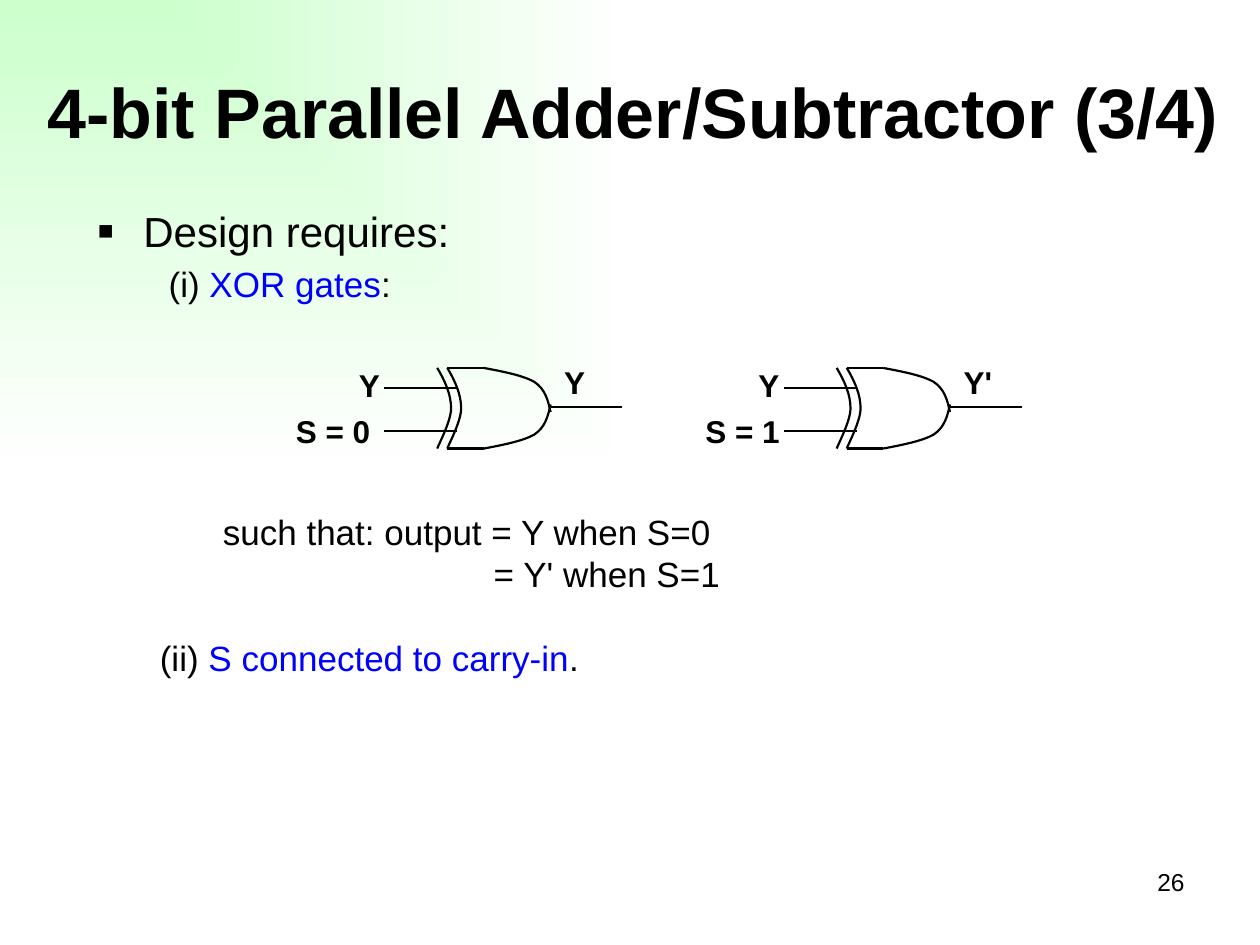
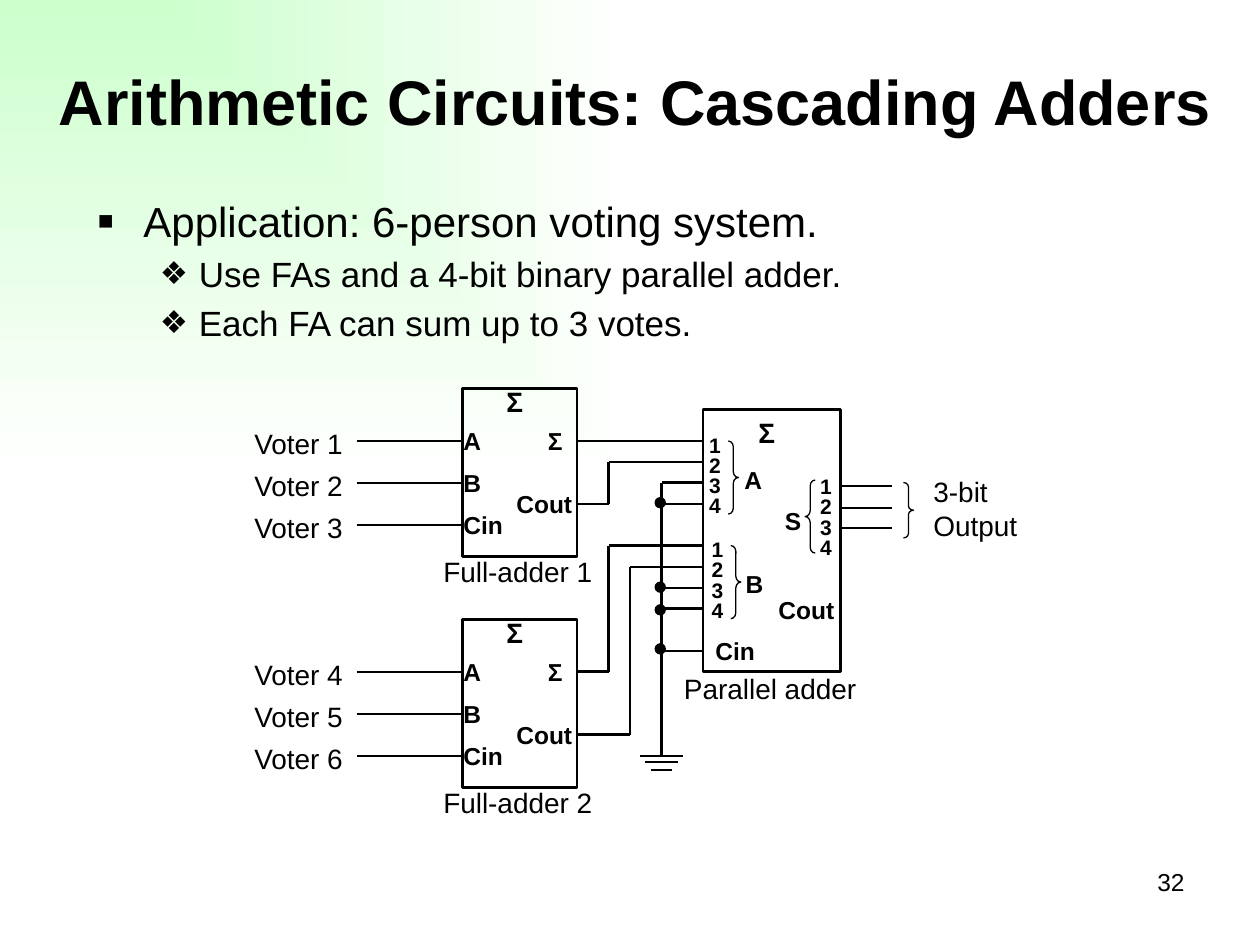
from dataclasses import dataclass
from typing import Any, NamedTuple

from lxml.etree import SubElement
from pptx import Presentation
from pptx.dml.color import RGBColor
from pptx.enum.shapes import MSO_CONNECTOR as Connector, MSO_SHAPE as Preset
from pptx.enum.text import MSO_ANCHOR as Anchor, MSO_AUTO_SIZE as AutoSize, PP_ALIGN as Align
from pptx.oxml.ns import qn
from pptx.util import Inches, Pt

BLACK, BLUE, MINT, WHITE = "000000", "0000FF", "CCFFCC", "FFFFFF"
FONT = "Arial"
WIRE, OUTLINE, THIN = 1.25, 1.5, 0.75
Point = tuple[float, float]


class Span(NamedTuple):
    text: str
    colour: str = BLACK


@dataclass
class Para:
    spans: list[Span]
    size: float
    margin: float = 0
    indent: float = 0
    before: float = 0
    bullet: str = ""
    bullet_size: int = 100
    bold: bool = False
    spacing: float = 1.0
    align: Any = Align.LEFT


@dataclass
class Gate:
    """An XOR gate; left is the top left corner of its body."""
    left: float
    select: str
    select_left: float
    select_width: float
    output: str
    output_width: float


@dataclass
class FullAdder:
    top: float
    number: int

    @property
    def voters(self) -> range:
        return range(3 * self.number - 2, 3 * self.number + 1)


class Bus(NamedTuple):
    """A bracketed set of four pins on the parallel adder."""
    name: str
    name_at: Point
    pins_at: Point
    brace_at: Point
    brace: Any


def rgb(colour: str) -> RGBColor:
    return RGBColor.from_string(colour)


def apply_format(target: Any, values: dict[str, Any]) -> None:
    for name, value in values.items():
        setattr(target, name, value)


# Text
def write(frame: Any, paras: list[Para]) -> None:
    for index, item in enumerate(paras):
        para = frame.paragraphs[0] if index == 0 else frame.add_paragraph()
        apply_format(para, {"alignment": item.align, "line_spacing": item.spacing,
                            "space_before": Pt(item.before)})
        props = para._p.get_or_add_pPr()
        props.set("marL", str(Inches(item.margin)))
        props.set("indent", str(Inches(item.indent)))
        if item.bullet:
            SubElement(props, qn("a:buSzPct")).set("val", str(item.bullet_size * 1000))
            SubElement(props, qn("a:buFont")).set("typeface", FONT)
            SubElement(props, qn("a:buChar")).set("char", item.bullet)
        for text, colour in item.spans:
            span = para.add_run()
            span.text = text
            apply_format(span.font, {"name": FONT, "size": Pt(item.size), "bold": item.bold})
            span.font.color.rgb = rgb(colour)


def add_text(shapes: Any, left: float, top: float, width: float, height: float,
             paras: list[Para]) -> None:
    box = shapes.add_textbox(Inches(left), Inches(top), Inches(width), Inches(height))
    box.text_frame.word_wrap = True
    write(box.text_frame, paras)


def add_label(shapes: Any, text: str, left: float, top: float, width: float,
              size: float = 14, bold: bool = True) -> None:
    add_text(shapes, left, top, width, size / 60 + 0.1, [Para([Span(text)], size, bold=bold)])


# Lines and shapes
def set_line(shape: Any, weight: float) -> None:
    shape.line.color.rgb = rgb(BLACK)
    shape.line.width = Pt(weight)


def add_wire(shapes: Any, *points: Point) -> None:
    for start, end in zip(points, points[1:]):
        wire = shapes.add_connector(Connector.STRAIGHT, *map(Inches, start + end))
        set_line(wire, WIRE)
        SubElement(wire._element.spPr, qn("a:effectLst"))


def add_preset(shapes: Any, preset: Any, left: float, top: float, width: float, height: float,
               weight: float, fill: str = "") -> Any:
    shape = shapes.add_shape(preset, Inches(left), Inches(top), Inches(width), Inches(height))
    shape.shadow.inherit = False
    if fill:
        shape.fill.solid()
        shape.fill.fore_color.rgb = rgb(fill)
    else:
        shape.fill.background()
    set_line(shape, weight)
    return shape


def add_brace(shapes: Any, preset: Any, left: float, top: float, height: float,
              curl: float) -> None:
    brace = add_preset(shapes, preset, left, top, 0.08, height, THIN)
    brace.adjustments[0] = curl


def add_curve(shapes: Any, left: float, top: float, controls: list[Point]) -> None:
    points = [(Inches(left + x), Inches(top + y)) for x, y in controls]
    builder = shapes.build_freeform(*points[0], scale=1.0)
    builder.add_line_segments(points[1:], close=False)
    curve = builder.convert_to_shape()
    curve.shadow.inherit = False
    curve.fill.background()
    set_line(curve, WIRE)
    # Every three straight segments become one cubic curve
    segments = list(curve._element.iter(qn("a:lnTo")))
    outline = segments[0].getparent()
    for first in range(0, len(segments), 3):
        cubic = SubElement(outline, qn("a:cubicBezTo"))
        for segment in segments[first:first + 3]:
            cubic.append(segment[0])
            outline.remove(segment)


# Shared page parts
def set_background(master: Any) -> None:
    fill = master.background.fill
    fill.gradient()
    for stop, position, colour in zip(fill.gradient_stops, (0, 1), (MINT, WHITE)):
        stop.position = position
        stop.color.rgb = rgb(colour)
    gradient = next(master.element.iter(qn("a:gradFill")))
    gradient.remove(gradient.find(qn("a:lin")))
    path = SubElement(gradient, qn("a:path"))
    path.set("path", "rect")
    focus = SubElement(path, qn("a:fillToRect"))
    for side, share in {"l": 0, "t": 0, "r": 100000, "b": 100000}.items():
        focus.set(side, str(share))


def add_page(deck: Any, title: str, size: float, left: float, top: float, width: float,
             number: int) -> Any:
    page = deck.slides.add_slide(deck.slide_layouts[5])
    apply_format(page.shapes.title, {"left": Inches(left), "top": Inches(top),
                                     "width": Inches(width), "height": Inches(1.25)})
    frame = page.shapes.title.text_frame
    apply_format(frame, {"word_wrap": True, "auto_size": AutoSize.NONE,
                         "vertical_anchor": Anchor.MIDDLE})
    write(frame, [Para([Span(title)], size, bold=True, align=Align.CENTER)])
    add_text(page.shapes, 7.17, 6.83, 2.33, 0.52,
             [Para([Span(str(number))], 14, align=Align.RIGHT)])
    return page


def heading(text: str) -> Para:
    return Para([Span(text)], 24, 0.37, -0.37, bullet="▪", bullet_size=120)


def point(text: str) -> Para:
    return Para([Span(text)], 20, 0.81, -0.31, before=4, bullet="❖", bullet_size=90)


# XOR gates
GATE_TOP, GATE_HEIGHT = 2.92, 0.64
BACK = [(0, 0), (0.06, 0.1), (0.11, 0.21), (0.11, 0.32),
        (0.11, 0.42), (0.02, 0.59), (0, GATE_HEIGHT)]
NOSE = [(0.29, 0), (0.45, 0.03), (0.6, 0.06), (0.69, 0.11),
        (0.78, 0.17), (0.8, 0.26), (0.82, 0.35)]


def draw_gate(page: Any, gate: Gate) -> None:
    shapes = page.shapes.add_group_shape().shapes
    left, top = gate.left, GATE_TOP
    for offset in (0, -0.08):
        add_curve(shapes, left + offset, top, BACK)
    add_curve(shapes, left, top, NOSE)
    add_curve(shapes, left, top, [(x, GATE_HEIGHT - y) for x, y in NOSE])
    for y in (top, top + GATE_HEIGHT):
        add_wire(shapes, (left, y), (left + 0.29, y))
    for y in (3.08, 3.42):
        add_wire(shapes, (left - 0.5, y), (left + 0.08, y))
    add_wire(shapes, (left + 0.81, 3.23), (left + 1.39, 3.23))
    add_label(shapes, gate.select, gate.select_left, 3.22, gate.select_width, 18)
    add_label(shapes, "Y", left - 0.8, 2.86, 0.38, 18)
    add_label(shapes, gate.output, left + 0.83, 2.83, gate.output_width, 18)


def build_subtractor(deck: Any) -> None:
    page = add_page(deck, "4-bit Parallel Adder/Subtractor (3/4)", 40, 0.11, 0.25, 9.83, 26)
    add_text(page.shapes, 0.67, 1.58, 8.5, 1, [
        heading("Design requires:"),
        Para([Span("(i) "), Span("XOR gates", BLUE), Span(":")], 20, 0.57, before=4)])
    add_text(page.shapes, 0.67, 4, 8.42, 1.5, [
        Para([Span("such that: output = Y when S=0")], 20, 1),
        Para([Span("= Y' when S=1")], 20, 3.15),
        Para([Span("(ii) "), Span("S connected to carry-in", BLUE), Span(".")],
             20, 0.5, before=24)])
    for gate in (Gate(3.55, "S = 0", 2.25, 0.88, "Y", 0.37),
                 Gate(6.72, "S = 1", 5.5, 0.8, "Y'", 0.43)):
        draw_gate(page, gate)


# Voting circuit
BUSES = [
    Bus("A", (5.81, 3.64), (5.53, 3.42), (5.78, 3.5), Preset.RIGHT_BRACE),
    Bus("B", (5.82, 4.47), (5.55, 4.25), (5.8, 4.33), Preset.RIGHT_BRACE),
    Bus("S", (6.13, 3.97), (6.41, 3.75), (6.39, 3.81), Preset.LEFT_BRACE),
]


def draw_full_adder(shapes: Any, adder: FullAdder) -> None:
    top = adder.top
    add_preset(shapes, Preset.RECTANGLE, 3.67, top, 0.91, 4 / 3, OUTLINE)
    pins = (("A", 0.42), ("B", 0.42), ("Cin", 0.58))
    for row, (voter, (pin, width)) in enumerate(zip(adder.voters, pins)):
        y = top + 5 / 12 + row / 3
        add_wire(shapes, (2.83, y), (3.67, y))
        add_label(shapes, f"Voter {voter}", 1.92, y - 1 / 6, 1, 16, False)
        add_label(shapes, pin, 3.58, y - 1 / 6, width)
    add_label(shapes, "Σ", 3.92, top - 1 / 12, 0.42, 16)
    add_label(shapes, "Σ", 4.25, top + 0.25, 0.42)
    add_label(shapes, "Cout", 4, top + 0.75, 0.67)
    add_label(shapes, f"Full-adder {adder.number}", 3.42, top + 1.27, 1.5, 16, False)


def draw_parallel_adder(shapes: Any) -> None:
    add_preset(shapes, Preset.RECTANGLE, 5.58, 3.25, 1.09, 2.08, OUTLINE)
    add_label(shapes, "Σ", 5.92, 3.25, 0.42, 16)
    add_label(shapes, "Cout", 6.08, 4.67, 0.67)
    add_label(shapes, "Cin", 5.58, 5, 0.58)
    add_label(shapes, "Parallel adder", 5.33, 5.28, 1.58, 16, False)
    for bus in BUSES:
        add_label(shapes, bus.name, *bus.name_at, 0.25)
        add_text(shapes, *bus.pins_at, 0.35, 0.74,
                 [Para([Span(pin)], 12, bold=True, spacing=0.8) for pin in "1234"])
        add_brace(shapes, bus.brace, *bus.brace_at, 0.58, 0.58)
    for y in (3.86, 4.03, 4.19):
        add_wire(shapes, (6.67, y), (7.08, y))
    add_brace(shapes, Preset.RIGHT_BRACE, 7.17, 3.83, 0.44, 0.44)
    add_text(shapes, 7.31, 3.72, 0.92, 0.64, [Para([Span("3-bit Output")], 16)])


def draw_wiring(shapes: Any) -> None:
    # Sums and carries to the parallel adder
    add_wire(shapes, (4.58, 3.5), (5.58, 3.5))
    for start, bend, end in ((4, 4.83, 3.67), (5.33, 4.83, 4.33), (5.83, 5, 4.5)):
        add_wire(shapes, (4.58, start), (bend, start), (bend, end), (5.58, end))
    # Unused inputs tied to ground
    add_wire(shapes, (5.58, 3.83), (5.25, 3.83), (5.25, 6))
    for pin, dot in ((4, 3.95), (4.67, 4.62), (4.83, 4.8), (5.17, 5.11)):
        add_wire(shapes, (5.25, pin), (5.58, pin))
        add_preset(shapes, Preset.OVAL, 5.2, dot, 0.08, 0.08, THIN, BLACK)
    for y, half in ((6, 0.17), (6.05, 0.13), (6.11, 0.08)):
        add_wire(shapes, (5.25 - half, y), (5.25 + half, y))


def build_voting(deck: Any) -> None:
    page = add_page(deck, "Arithmetic Circuits: Cascading Adders", 36, 0.33, 0.17, 9.42, 32)
    add_text(page.shapes, 0.67, 1.5, 8.33, 1.42, [
        heading("Application: 6-person voting system."),
        point("Use FAs and a 4-bit binary parallel adder."),
        point("Each FA can sum up to 3 votes.")])
    shapes = page.shapes.add_group_shape().shapes
    for adder in (FullAdder(37 / 12, 1), FullAdder(59 / 12, 2)):
        draw_full_adder(shapes, adder)
    draw_parallel_adder(shapes)
    draw_wiring(shapes)


def main() -> None:
    deck = Presentation()
    apply_format(deck, {"slide_width": Inches(10), "slide_height": Inches(7.5)})
    set_background(deck.slide_master)
    build_subtractor(deck)
    build_voting(deck)
    deck.save("out.pptx")


if __name__ == "__main__":
    main()
